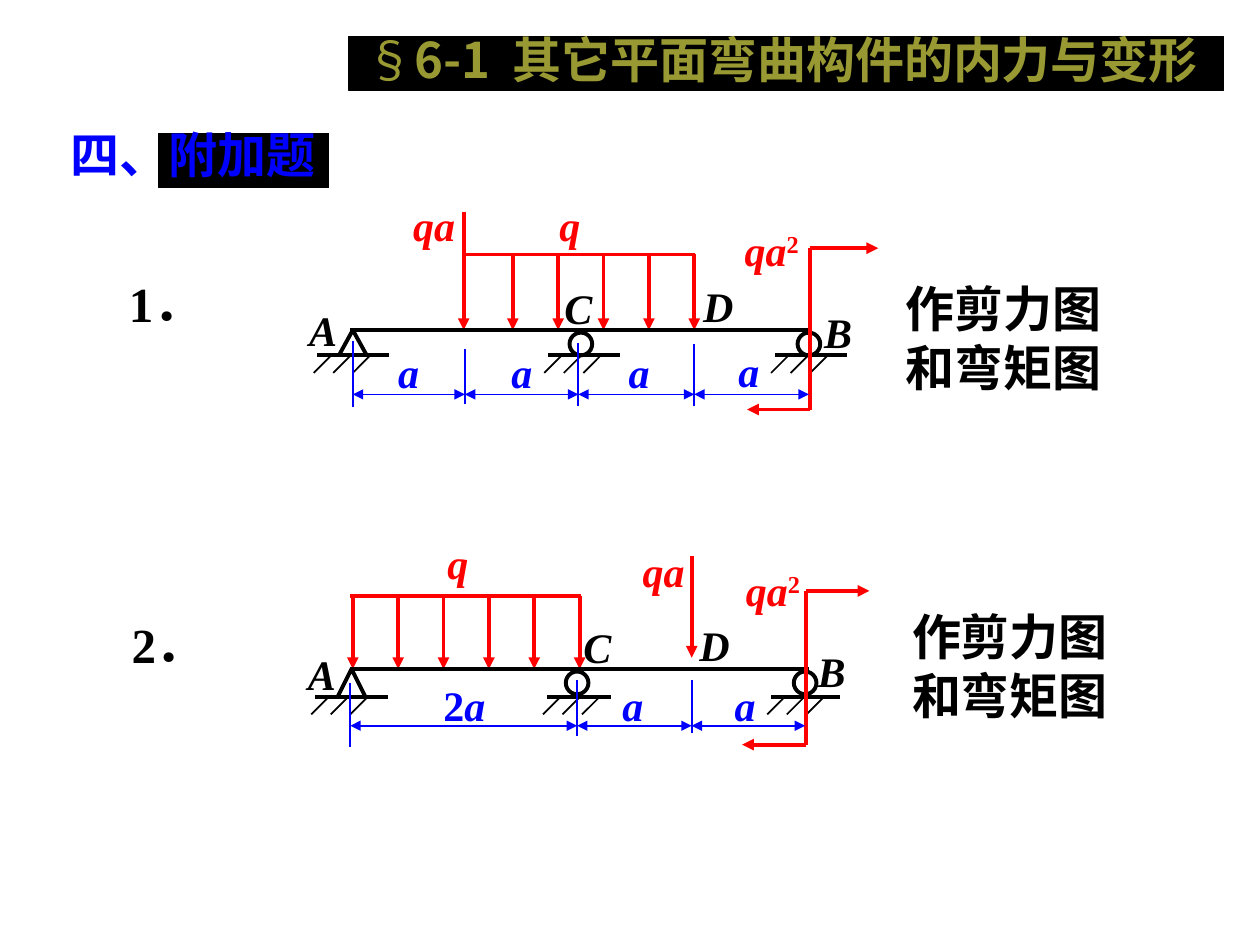
from lxml import etree
from pptx import Presentation
from pptx import util as u
from pptx.dml.color import RGBColor
from pptx.enum import shapes, text
from pptx.oxml.ns import qn

In = u.Inches
COLORS = {"load": "FF0000", "dim": "0000FF", "beam": "000000", "title": "999933"}
SERIF, SANS = "Times New Roman", "Noto Sans CJK SC"
ALIGN = text.PP_ALIGN
TIGHT, NORMAL = (0.01, 0.01), (0.1, 0.05)

prs = Presentation()
prs.slide_width, prs.slide_height = In(10), In(7.5)
s = prs.slides.add_slide(prs.slide_layouts[6])


def line(x1, y1, x2, y2, color="beam", width=2.25, ends=()):
    """Straight line; ends holds headEnd and/or tailEnd for arrowheads."""
    c = s.shapes.add_connector(shapes.MSO_CONNECTOR.STRAIGHT, In(x1), In(y1), In(x2), In(y2))
    c.line.color.rgb = RGBColor.from_string(COLORS[color])
    c.line.width = u.Pt(width)
    for end in ends:
        etree.SubElement(c.line._get_or_add_ln(), qn("a:" + end), type="triangle")
    etree.SubElement(c._element.spPr, qn("a:effectLst"))


def label(x, y, w, h, runs, color="beam", size=24, font=SERIF, align=ALIGN.LEFT,
          margins=TIGHT, anchor=text.MSO_ANCHOR.TOP):
    """Text box; each run is (text, extra font values, extra rPr attributes)."""
    tf = s.shapes.add_textbox(In(x), In(y), In(w), In(h)).text_frame
    mx, my = In(margins[0]), In(margins[1])
    frame = dict(word_wrap=True, vertical_anchor=anchor, margin_left=mx,
                 margin_right=mx, margin_top=my, margin_bottom=my)
    for name, value in frame.items():
        setattr(tf, name, value)
    p = tf.paragraphs[0]
    p.alignment = align
    for words, extra, attrs in runs:
        r = p.add_run()
        r.text = words
        values = dict(name=font, size=u.Pt(size), bold=True) | extra
        for name, value in values.items():
            setattr(r.font, name, value)
        r.font.color.rgb = RGBColor.from_string(COLORS[color])
        for name, value in attrs.items():
            r._r.get_or_add_rPr().set(name, value)


# Black bars behind the headings
for x, y, w, h in [(1.26, 1.06, 1.35, 0.43), (2.77, 0.29, 6.94, 0.43)]:
    sp = s.shapes.add_shape(shapes.MSO_SHAPE.RECTANGLE, In(x), In(y), In(w), In(h))
    sp.shadow.inherit = False
    sp.fill.solid()
    sp.fill.fore_color.rgb = sp.line.color.rgb = RGBColor.from_string(COLORS["beam"])
    sp.line.width = u.Pt(0.75)

# Headings
label(2.58, 0.12, 7.25, 0.7,
      [("§", {"bold": False}, {}), ("6-1", {}, {}), (" ", {}, {"spc": "620"}),
       ("其它平面弯曲构件的内力与变形", {}, {})],
      "title", 28, SANS, ALIGN.CENTER, NORMAL, text.MSO_ANCHOR.MIDDLE)
label(0.56, 0.99, 3.39, 0.47, [("四、附加题", {}, {})], "dim", 28, margins=(0, 0))

# Runs used in the labels
ITALIC = {"italic": True}
A, B, C, D, a, q, qa = [[(t, ITALIC, {})] for t in ("A", "B", "C", "D", "a", "q", "qa")]
qa2 = qa + [("2", {}, {"baseline": "30000"})]
two_a = [("2", {}, {})] + a

# supports: marker left, ground left, ground right (the first one is a pin)
# ticks: x, top, bottom
problems = [
    dict(
        number="1．", number_at=(0.91, 2.12), task_at=(6.94, 2.16, 2.05),
        beam=2.62, ground=2.82, ends=(2.78, 6.43),
        supports=[(2.69, 2.52, 3.09), (4.52, 4.35, 4.92), (6.33, 6.15, 6.72)],
        load=(3.69, 5.52, 2.02), first_arrow=4.07, arrows=5, force=(3.68, 1.68, 2.62),
        couple=(6.43, 1.97, 3.25), couple_tips=(6.97, 5.93),
        dim_y=3.13, dim_end=6.42,
        ticks=[(2.8, 2.71, 3.23), (3.69, 2.77, 3.21), (4.59, 2.72, 3.22), (5.51, 2.73, 3.22)],
        labels=[(2.26, 2.41, A, "beam"), (4.47, 2.23, C, "beam"), (5.57, 2.22, D, "beam"),
                (6.53, 2.42, B, "beam"), (3.15, 2.74, a, "dim"), (4.05, 2.74, a, "dim"),
                (4.98, 2.74, a, "dim"), (5.85, 2.73, a, "dim"), (4.43, 1.57, q, "load"),
                (3.27, 1.57, qa, "load"), (5.9, 1.77, qa2, "load")]),
    dict(
        number="2．", number_at=(0.93, 4.83), task_at=(7.01, 4.76, 2.01),
        beam=5.31, ground=5.53, ends=(2.78, 6.42),
        supports=[(2.68, 2.5, 3.08), (4.49, 4.34, 4.85), (6.3, 6.12, 6.67)],
        load=(2.78, 4.61, 4.73), first_arrow=2.8, arrows=6, force=(5.49, 4.41, 5.22),
        couple=(6.4, 4.69, 5.91), couple_tips=(6.9, 5.89),
        dim_y=5.76, dim_end=6.39,
        ticks=[(2.78, 5.42, 5.93), (4.58, 5.4, 5.84), (5.49, 5.4, 5.82)],
        labels=[(2.25, 5.14, A, "beam"), (4.62, 4.92, C, "beam"), (5.54, 4.91, D, "beam"),
                (6.48, 5.11, B, "beam"), (3.51, 5.38, two_a, "dim"), (4.93, 5.38, a, "dim"),
                (5.82, 5.38, a, "dim"), (3.54, 4.26, q, "load"), (5.09, 4.32, qa, "load"),
                (5.91, 4.47, qa2, "load")]),
]

for pb in problems:
    beam, ground = pb["beam"], pb["ground"]

    # Distributed load and point force
    left, right, top = pb["load"]
    line(left, top, right, top, "load")
    for i in range(pb["arrows"]):
        x = pb["first_arrow"] + 0.36 * i
        line(x, top, x, beam, "load", ends=["tailEnd"])
    x, start, tip = pb["force"]
    line(x, start, x, tip, "load", ends=["tailEnd"])

    # Supports: a pin, then rollers, each on hatched ground
    for i, (x, left, right) in enumerate(pb["supports"]):
        if i == 0:
            fb = s.shapes.build_freeform(In(x), In(ground))
            fb.add_line_segments([(In(x + 0.11), In(beam)), (In(x + 0.22), In(ground))], close=False)
            sp = fb.convert_to_shape()
        else:
            sp = s.shapes.add_shape(shapes.MSO_SHAPE.OVAL, In(x), In(beam + 0.02), In(0.18), In(0.18))
        sp.shadow.inherit = False
        sp.fill.background()
        sp.line.color.rgb = RGBColor.from_string(COLORS["beam"])
        sp.line.width = u.Pt(2.25)
        line(left, ground, right, ground)
        for j in range(3):
            hx = left + 0.11 + 0.155 * j
            line(hx, ground, hx - 0.14, ground + 0.14, width=1)

    # Beam
    line(pb["ends"][0], beam, pb["ends"][1], beam)

    # Couple at B
    x, top, bottom = pb["couple"]
    line(x, top, x, bottom, "load")
    for y, tip in zip((top, bottom), pb["couple_tips"]):
        line(x, y, tip, y, "load", ends=["tailEnd"])

    # Dimensions
    stops = [t[0] for t in pb["ticks"]] + [pb["dim_end"]]
    for x, top, bottom in pb["ticks"]:
        line(x, top, x, bottom, "dim", 1)
    for x1, x2 in zip(stops, stops[1:]):
        line(x1, pb["dim_y"], x2, pb["dim_y"], "dim", 1, ["headEnd", "tailEnd"])

    # Labels, number and task
    for x, y, runs, color in pb["labels"]:
        label(x, y, 0.61 if color == "beam" else 0.77, 0.54, runs, color,
              align=ALIGN.CENTER if runs is A else ALIGN.LEFT)
    label(*pb["number_at"], 0.81, 1.04, [(pb["number"], {}, {})], size=28,
          align=ALIGN.CENTER, margins=NORMAL)
    x, y, w = pb["task_at"]
    label(x, y, w, 1.04, [("作剪力图和弯矩图", {}, {})], size=28, align=ALIGN.CENTER,
          margins=NORMAL, anchor=text.MSO_ANCHOR.MIDDLE)

prs.save("out.pptx")
